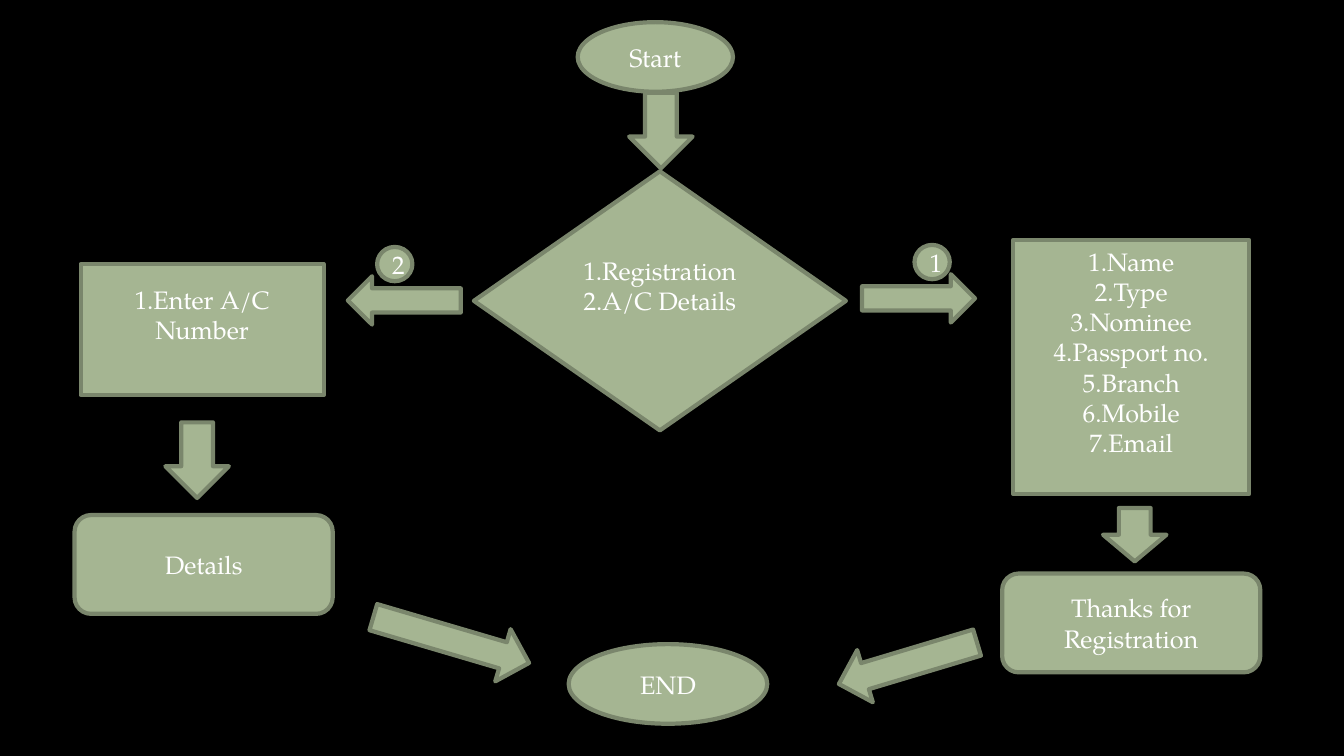
from pptx import Presentation
from pptx.dml.color import RGBColor
from pptx.enum.shapes import MSO_SHAPE as Shape
from pptx.enum.text import MSO_ANCHOR as Anchor, PP_ALIGN as Align
from pptx.util import Inches, Pt

COLORS = {"background": "000000", "fill": "A5B592", "outline": "7A866C", "text": "FFFFFF"}
FONT = "TeX Gyre Pagella"
CELL = Inches(0.1)  # side of a square grid cell
COLUMNS, ROWS = 133.3, 75
LINE = 3  # rows taken by one line of text


def color(name):
    return RGBColor.from_string(COLORS[name])


def add_node(kind, box, text="", rotation=0, raised=0, size=18):
    """Add a flowchart shape; box is column, row, width, height in grid cells.

    raised is the number of rows kept free below the text.
    """
    shape = slide.shapes.add_shape(kind, *(int(length * CELL) for length in box))
    shape.rotation = rotation
    shape.shadow.inherit = False
    shape.fill.solid()
    shape.fill.fore_color.rgb = color("fill")
    shape.line.color.rgb = color("outline")
    shape.line.width = Pt(3)
    if not text:
        return
    frame = shape.text_frame
    frame.word_wrap = True
    frame.vertical_anchor = Anchor.MIDDLE
    frame.margin_bottom += int(raised * CELL)
    frame.text = text
    for paragraph in frame.paragraphs:
        paragraph.alignment = Align.CENTER
        paragraph.font.name = FONT
        paragraph.font.size = Pt(size)
        paragraph.font.color.rgb = color("text")


presentation = Presentation()
presentation.slide_width = int(COLUMNS * CELL)
presentation.slide_height = ROWS * CELL
slide = presentation.slides.add_slide(presentation.slide_layouts[6])
slide.background.fill.solid()
slide.background.fill.fore_color.rgb = color("background")

arrows = [
    (Shape.DOWN_ARROW, (62.4, 9.2, 6.3, 7.5), 0),
    (Shape.RIGHT_ARROW, (85.5, 27.2, 11.2, 4.8), 0),
    (Shape.RIGHT_ARROW, (34.5, 27.4, 11.2, 4.8), 180),
    (Shape.DOWN_ARROW, (16.4, 41.9, 6.3, 7.5), 0),
    (Shape.DOWN_ARROW, (109.4, 50.4, 6.3, 5.3), 0),
    (Shape.RIGHT_ARROW, (36.7, 60.8, 16.1, 5.4), 16.4),
    (Shape.RIGHT_ARROW, (82.9, 63.1, 14.3, 5.4), 163.3),
]
for kind, box, rotation in arrows:
    add_node(kind, box, rotation=rotation)

# Start, end and the numbers of the two branches
ovals = [
    ("Start", (57.3, 2.2, 15.4, 6.9)),
    ("2", (37.4, 24.5, 3.5, 3.4)),
    ("1", (90.7, 24.3, 3.5, 3.4)),
    ("END", (56.4, 63.9, 19.7, 7.9)),
]
for text, box in ovals:
    add_node(Shape.OVAL, box, text)

# Menu and the input of each branch
registration_fields = ["Name", "Type", "Nominee", "Passport no.", "Branch", "Mobile", "Email"]
numbered_fields = "\n".join(f"{number}.{field}" for number, field in enumerate(registration_fields, 1))
inputs = [
    (Shape.FLOWCHART_DECISION, (47, 17, 36.9, 25.7), "1.Registration\n2.A/C Details"),
    (Shape.FLOWCHART_PROCESS, (8, 26.2, 24.1, 13), "1.Enter A/C\nNumber"),
    (Shape.FLOWCHART_PROCESS, (100.5, 23.8, 23.4, 25.2), numbered_fields),
]
for kind, box, text in inputs:
    add_node(kind, box, text, raised=LINE)

results = [("Details", 7.4, 51.1), ("Thanks for Registration", 99.4, 56.9)]
for text, column, row in results:
    add_node(Shape.FLOWCHART_ALTERNATE_PROCESS, (column, row, 25.6, 9.8), text)

presentation.save("out.pptx")
